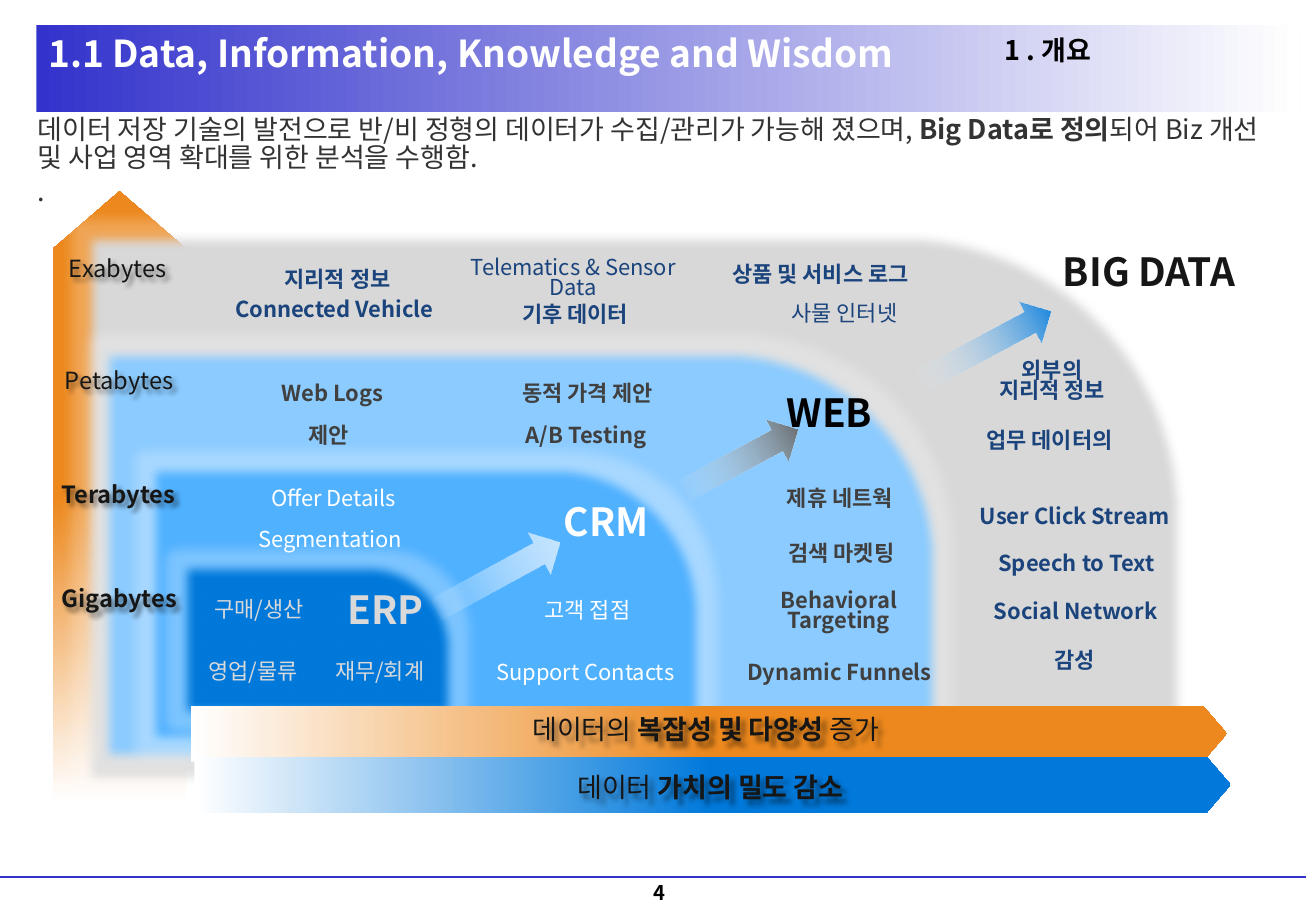
from lxml.etree import SubElement
from pptx import Presentation
from pptx.dml.color import RGBColor
from pptx.enum.shapes import MSO_CONNECTOR, MSO_SHAPE
from pptx.enum.text import MSO_ANCHOR, MSO_AUTO_SIZE, PP_ALIGN
from pptx.oxml.ns import qn
from pptx.util import Pt

FONT = "Noto Sans CJK KR"
INDIGO = RGBColor(0x33, 0x33, 0xCC)
WHITE = RGBColor(0xFF, 0xFF, 0xFF)
BLACK = RGBColor(0, 0, 0)
INK = RGBColor(0x16, 0x16, 0x16)
BODY = RGBColor(0x33, 0x33, 0x33)
CHARCOAL = RGBColor(0x40, 0x40, 0x40)
NAVY = RGBColor(0x1B, 0x44, 0x7D)
SILVER = RGBColor(0xD9, 0xD9, 0xD9)
ORANGE = RGBColor(0xEC, 0x88, 0x1D)
GREY = RGBColor(0xD8, 0xD8, 0xD8)
SKY = RGBColor(0x8B, 0xCB, 0xFF)
AZURE = RGBColor(0x50, 0xB1, 0xFF)
BLUE = RGBColor(0x00, 0x79, 0xDB)
PALE = RGBColor(0xC5, 0xE5, 0xFF)
SLATE = RGBColor(0x58, 0x5B, 0x5D)
TOP, MID, LOW = MSO_ANCHOR.TOP, MSO_ANCHOR.MIDDLE, MSO_ANCHOR.BOTTOM
LEFT, CENTER, RIGHT = PP_ALIGN.LEFT, PP_ALIGN.CENTER, PP_ALIGN.RIGHT
NORMAL, TIGHT = 0.85, 0.77
NONE, SMALL, WIDE, SIDELESS = (0, 0), (7.2, 3.6), (8.6, 4.3), (0, 4.3)

# Content: boxes are left, top, width, height; a text is a list of
# paragraphs, each a list of (text, bold) runs, or a plain string
TITLE = "1.1 Data, Information, Knowledge and Wisdom"
SECTION = "1 . 개요"
PAGE = "4"
LEAD = [
    [("데이터 저장 기술의 발전으로 반/비 정형의 데이터가 수집/관리가 가능해 졌으며, ", False),
     ("Big Data로 정의", True),
     ("되어 Biz 개선 및 사업 영역 확대를 위한 분석을 수행함.", False)],
    [(".", False)],
]
LAYERS = [
    ((49.7, 137.5, 653.8, 328.3), GREY),
    ((59.8, 205.9, 498.2, 247), SKY),
    ((87.1, 274.3, 330.5, 167.8), AZURE),
    ((105.1, 331.9, 166.3, 95), BLUE),
]
BANDS = [  # box, rotation, colour
    ((-110.2, 254.9, 362.2, 79.2), 270, ORANGE),
    ((113, 418.3, 614.2, 33.1), 0, ORANGE),
    ((115.2, 448.6, 614.2, 33.1), 0, BLUE),
]
BAND_TEXTS = [
    ([[("데이터의 ", False), ("복잡성 및 다양성 ", True), ("증가", False)]],
     (113, 420.5, 610.6, 26)),
    ([[("데이터 ", False), ("가치의 밀도 감소", True)]], (113, 455, 616.3, 26)),
]
ARROWS = [
    ((253.4, 326.9, 83.5, 28.1), PALE),
    ((401, 258.5, 76.3, 28.1), SLATE),
    ((540.7, 190.8, 87.1, 28.1), BLUE),
]
STAGES = [
    ("BIG DATA", (546.5, 147, 194.4, 34), INK, TOP),
    ("WEB", (435, 230.4, 90.7, 36.7), BLACK, TOP),
    ("CRM", (302.4, 295.2, 90.7, 36.7), WHITE, TOP),
    ("ERP", (170.6, 344.9, 89.3, 36.7), SILVER, MID),
]
VOLUMES = [
    ("Exabytes", (25.2, 148.3, 89.3, 23.8), False),
    ("Petabytes", (24.5, 214.6, 92.2, 23.8), False),
    ("Terabytes", (24.5, 282.2, 91.4, 23.8), True),
    ("Gigabytes", (24.5, 344.2, 92.2, 23.8), True),
]
LABELS = [  # shared format, then text, box and own format
    (dict(color=NAVY, bold=True, inset=SMALL), [
        ("지리적 정보", (129, 155.5, 142, 23), dict(inset=WIDE)),
        ("Connected Vehicle", (128, 174.2, 140, 21.6), {}),
        ("Telematics & Sensor Data", (268.6, 149, 142, 33),
         dict(bold=False, spacing=TIGHT, anchor=MID)),
        ("기후 데이터", (270.7, 177.1, 140, 21.6), {}),
        ("상품 및 서비스 로그", (414.7, 154.1, 143, 20), dict(spacing=TIGHT)),
        ("사물 인터넷", (429, 176.4, 143, 21.6), dict(bold=False)),
        ([[("외부의", True)], [("지리적 정보", True)]], (552, 211, 143, 33),
         dict(spacing=TIGHT)),
        ("업무 데이터의", (552, 252.7, 140, 20), dict(spacing=TIGHT)),
        ("User Click Stream", (569.5, 296.6, 135, 21.6), {}),
        ("Speech to Text", (573, 324.7, 130, 21.6), {}),
        ("Social Network", (566, 352.8, 143, 21.6), {}),
        ("감성", (566, 382.3, 142, 21.6), {}),
    ]),
    (dict(color=CHARCOAL, bold=True, inset=WIDE), [
        ("Web Logs", (126, 223.2, 142, 23), {}),
        ("제안", (123.5, 247.7, 142, 23), {}),
        ("동적 가격 제안", (277.2, 223.2, 142, 23), {}),
        ("A/B Testing", (275.8, 247.7, 143, 23), {}),
        ("제휴 네트웍", (426.2, 285.1, 143, 23), {}),
        ("검색 마켓팅", (427.2, 318.2, 143, 23), {}),
        ("Behavioral Targeting", (426.2, 345.6, 142, 34.6),
         dict(spacing=TIGHT, anchor=MID)),
        ("Dynamic Funnels", (426.2, 387.4, 142.6, 23), dict(anchor=LOW)),
    ]),
    (dict(color=WHITE, inset=WIDE), [
        ("Offer Details", (126.7, 285.1, 142, 23), {}),
        ("Segmentation", (124.6, 309.6, 142, 23), {}),
        ("고객 접점", (277.2, 350.6, 142, 24.5), dict(anchor=MID)),
        ("Support Contacts", (275.8, 387.4, 142, 23), dict(anchor=LOW)),
    ]),
    (dict(color=SILVER, inset=SIDELESS, spacing=TIGHT, anchor=LOW), [
        ("구매/생산", (118.1, 352.1, 70.6, 20.9), dict(anchor=MID)),
        ("영업/물류", (114.5, 388.8, 70.6, 20.9), {}),
        ("재무/회계", (189.4, 388.8, 71.3, 20.9), {}),
    ]),
]

prs = Presentation()
prs.slide_width, prs.slide_height = Pt(780), Pt(540)
s = prs.slides.add_slide(prs.slide_layouts[6])


def add_effect(sp, tag, color=None, alpha=100, **lengths):
    attrs = {k: str(int(v)) for k, v in lengths.items()}
    effect = SubElement(sp._element.spPr.find(qn("a:effectLst")), qn(tag), attrs)
    if color is not None:
        clr = SubElement(effect, qn("a:srgbClr"), val=str(color))
        SubElement(clr, qn("a:alpha"), val=str(alpha * 1000))


def add_figure(kind, box, color, adj=(), rotation=0, fade=None, clear=False):
    """Shape with a solid fill, or a gradient whose end stop sits at fade."""
    sp = s.shapes.add_shape(kind, *map(Pt, box))
    sp.shadow.inherit = False
    sp.line.fill.background()
    sp.rotation = rotation
    for i, value in enumerate(adj):
        sp.adjustments[i] = value
    if fade is None:
        sp.fill.solid()
        sp.fill.fore_color.rgb = color
        return sp
    sp.fill.gradient()
    sp.fill.gradient_angle = 0
    start, end = (WHITE, color) if color != INDIGO else (color, WHITE)
    for stop, pos, rgb in zip(sp.fill.gradient_stops, (0, fade), (start, end)):
        stop.position, stop.color.rgb = pos, rgb
    if clear:
        first = next(sp._element.spPr.iter(qn("a:srgbClr")))
        SubElement(first, qn("a:alpha"), val="0")
    return sp


def add_text(text, box, color, size=13, bold=False, align=CENTER, anchor=TOP,
             inset=WIDE, spacing=NORMAL, grow=True):
    sp = s.shapes.add_textbox(*map(Pt, box))
    sp.shadow.inherit = False
    tf = sp.text_frame
    side, edge = map(Pt, inset)
    frame = dict(word_wrap=True, vertical_anchor=anchor, margin_left=side,
                 margin_right=side, margin_top=edge, margin_bottom=edge,
                 auto_size=MSO_AUTO_SIZE.SHAPE_TO_FIT_TEXT if grow else MSO_AUTO_SIZE.NONE)
    for name, value in frame.items():
        setattr(tf, name, value)
    for i, runs in enumerate([[(text, bold)]] if isinstance(text, str) else text):
        p = tf.add_paragraph() if i else tf.paragraphs[0]
        p.alignment, p.line_spacing = align, spacing
        for words, strong in runs:
            r = p.add_run()
            r.text = words
            for name, value in dict(name=FONT, size=Pt(size), bold=strong).items():
                setattr(r.font, name, value)
            r.font.color.rgb = color
    return sp


def add_text_shadow(sp):
    add_effect(sp, "a:outerShdw", BLACK, 45, blurRad=Pt(3), dist=Pt(3), dir=2700000)


# Header, lead text and footer
add_figure(MSO_SHAPE.RECTANGLE, (21.6, 15.1, 748.8, 51.1), INDIGO, fade=1)
add_text(TITLE, (21.6, 15.8, 555.8, 34.6), WHITE, 22, True, LEFT, MID, SMALL, grow=False)
add_text(SECTION, (351.4, 13.7, 295.2, 34.6), BLACK, 16, True, RIGHT, MID, NONE, grow=False)
lead = add_text(LEAD, (22.3, 69.8, 724.3, 70.6), BODY, 16, align=LEFT, inset=NONE, grow=False)
for i, p in enumerate(lead.text_frame.paragraphs):
    p.space_before, p.space_after = Pt(3 if i else 0), Pt(1)
add_text(PAGE, (309.6, 519.1, 162.7, 20.9), BLACK, 12, True, anchor=LOW, inset=SMALL, grow=False)
rule = s.shapes.add_connector(MSO_CONNECTOR.STRAIGHT, Pt(774), Pt(519.8), Pt(0), Pt(519.8))
rule.line.color.rgb, rule.line.width = INDIGO, Pt(1.5)
SubElement(rule._element.spPr, qn("a:effectLst"))

# Volume arrow, nested layers and bottom bands
volume_band, *bottom_bands = BANDS
add_figure(MSO_SHAPE.PENTAGON, volume_band[0], volume_band[2], (0.431,), volume_band[1], 0.5)
for box, color in LAYERS:
    sp = add_figure(MSO_SHAPE.SNIP_ROUND_RECTANGLE, box, color, (0.5, 0))
    sp._element.spPr.find(qn("a:xfrm")).set("flipH", "1")
    add_effect(sp, "a:glow", WHITE, 25, rad=Pt(14))
    add_effect(sp, "a:softEdge", rad=Pt(6))
for box, rotation, color in bottom_bands:
    add_figure(MSO_SHAPE.PENTAGON, box, color, (0.431,), rotation, 0.5)

# Stage names, volume scale and growth arrows
for text, box, color, anchor in STAGES:
    add_text(text, box, color, 23, True, RIGHT, anchor)
for text, box, bold in VOLUMES:
    add_text_shadow(add_text(text, box, INK, 14, bold, anchor=MID))
for box, color in ARROWS:
    add_figure(MSO_SHAPE.RIGHT_ARROW, box, color, rotation=331.7, fade=1, clear=True)

# Data labels and band captions
for shared, rows in LABELS:
    for text, box, own in rows:
        add_text(text, box, **{**shared, **own})
for text, box in BAND_TEXTS:
    add_text_shadow(add_text(text, box, INK, 16, anchor=MID))

prs.save("out.pptx")
